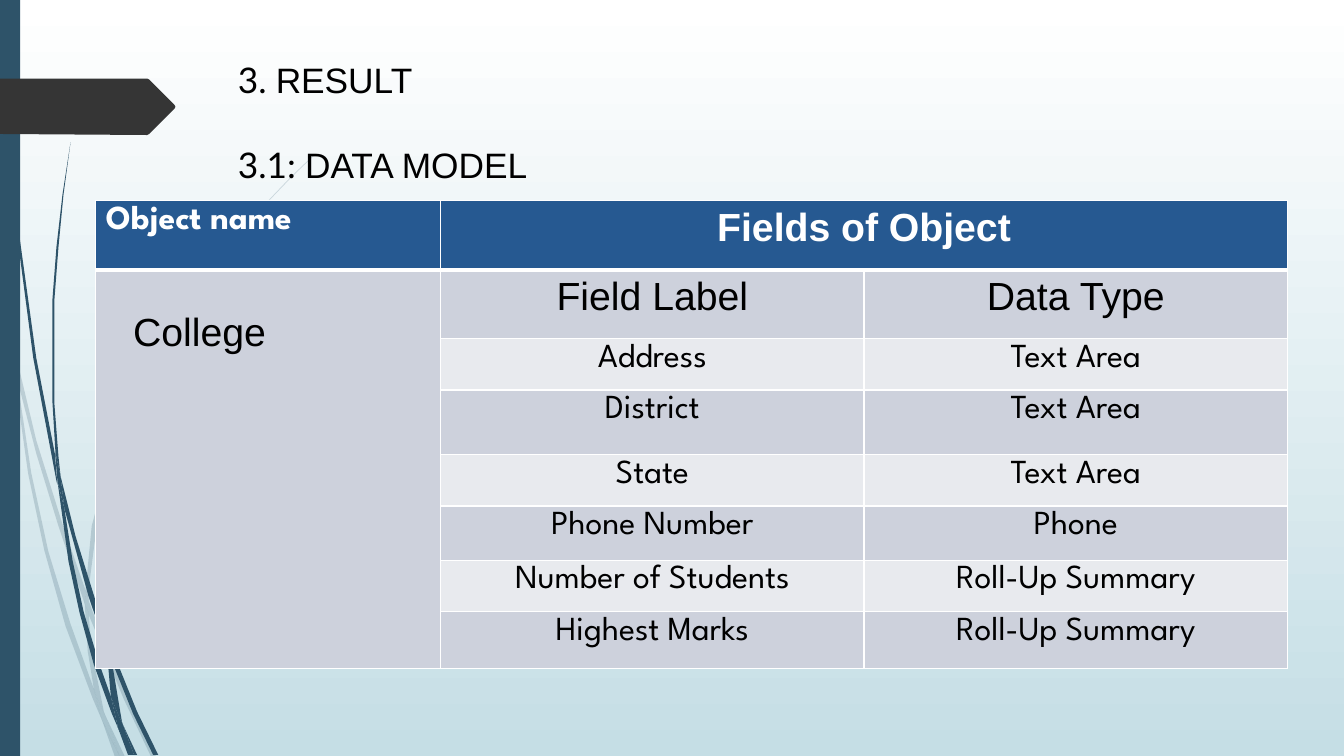
from dataclasses import dataclass

from lxml.etree import SubElement
from pptx import Presentation
from pptx.dml.color import RGBColor
from pptx.enum.shapes import MSO_SHAPE as Preset
from pptx.enum.text import MSO_ANCHOR as Anchor, MSO_AUTO_SIZE as AutoSize, PP_ALIGN as Align
from pptx.oxml import parse_xml
from pptx.oxml.ns import nsdecls, qn
from pptx.util import Emu, Inches, Pt

UNIT = Inches(0.01)  # one grid step; the slide is 1333 columns by 750 rows
COLORS = {
    "white": "FFFFFF", "black": "000000", "sky": "C5DEE5", "blue": "2E5369",
    "charcoal": "353535", "header": "265991", "dark band": "CDD1DC", "light band": "E8EAEE",
}
HEADING, BODY, NUMBER = "Arial", "League Spartan", "Lato"

# Outlines of the grass blades, in grid columns and rows
PALE_BLADES = [
    [(11, 350), (9, 322), (0, 282), (0, 299), (10, 344)],
    [(58, 522), (84, 599), (85, 586), (62, 520), (36, 437), (14, 345), (17, 376), (36, 450)],
    [(92, 607), (88, 596), (88, 610), (123, 694), (150, 751), (155, 751), (127, 692)],
    [(119, 751), (124, 751), (105, 711)],
    [(93, 683), (70, 619), (48, 547), (31, 469), (17, 376), (11, 350), (28, 470), (44, 546),
     (65, 621), (92, 693), (101, 714), (99, 707)],
    [(84, 599), (87, 646), (93, 683), (96, 692), (105, 711), (103, 706), (91, 646), (88, 610),
     (88, 608)],
    [(88, 584), (96, 522), (110, 462), (132, 405), (160, 349), (193, 295), (229, 245), (268, 198),
     (290, 175), (312, 154), (312, 153), (289, 175), (268, 197), (228, 244), (191, 294),
     (158, 348), (129, 404), (107, 461), (91, 522), (85, 584), (85, 586), (88, 596)],
    [(101, 714), (114, 751), (119, 751)],
    [(88, 608), (88, 610), (88, 596), (85, 586), (84, 599)],
    [(96, 692), (93, 683), (99, 707), (101, 714), (119, 751), (105, 711)],
]
DARK_BLADES = [
    [(7, 110), (17, 233), (33, 355), (56, 477), (57, 481), (55, 457), (55, 453), (36, 355),
     (19, 232), (8, 109), (5, 48), (4, 0), (3, 0), (4, 48)],
    [(88, 592), (106, 645), (106, 633), (106, 631), (93, 590), (75, 532), (60, 472), (64, 505)],
    [(113, 649), (110, 641), (111, 656), (132, 708), (152, 749), (157, 749), (136, 706)],
    [(110, 691), (98, 657), (83, 607), (72, 556), (64, 505), (57, 477), (68, 557), (79, 608),
     (93, 659), (111, 708), (117, 722), (116, 717)],
    [(60, 472), (58, 453), (54, 401), (54, 349), (54, 297), (58, 245), (63, 193), (70, 141),
     (62, 193), (56, 245), (52, 297), (52, 349), (52, 399), (55, 449)],
    [(133, 749), (136, 749), (122, 719)],
    [(57, 477), (64, 505), (60, 472), (55, 449), (55, 453)],
    [(111, 633), (115, 592), (125, 552), (140, 513), (158, 476), (180, 440), (205, 406), (231, 374),
     (245, 359), (261, 344), (260, 344), (245, 358), (231, 373), (204, 405), (178, 439),
     (156, 474), (137, 512), (122, 551), (111, 591), (106, 631), (110, 641)],
    [(117, 722), (127, 749), (131, 749)],
    [(106, 645), (110, 691), (116, 706), (122, 719), (121, 716), (111, 656), (109, 651)],
    [(106, 645), (109, 651), (111, 656), (110, 641), (106, 631), (106, 633)],
    [(116, 706), (110, 691), (116, 717), (117, 722), (130, 749), (133, 749), (122, 719)],
]
ARROW = [(0, 0), (146, 0), (148, 1), (173, 26), (174, 28), (173, 30), (148, 55), (146, 56), (0, 55)]

TITLE_LINES = [("3. ", "RESULT"), ("3.1: ", "DATA MODEL")]
TABLE_COLUMNS = [342, 420, 420]
TABLE_ROWS = [69, 68, 51, 64, 51, 54, 51, 56]
FIELDS = [
    ("Field Label", "Data Type"),
    ("Address", "Text Area"),
    ("District", "Text Area"),
    ("State", "Text Area"),
    ("Phone Number", "Phone"),
    ("Number of Students", "Roll-Up Summary"),
    ("Highest Marks", "Roll-Up Summary"),
]


@dataclass
class Box:
    """A region in grid columns and rows."""
    left: int
    top: int
    width: int
    height: int

    def lengths(self):
        return [Emu(UNIT * steps) for steps in (self.left, self.top, self.width, self.height)]


def color(name):
    return RGBColor.from_string(COLORS[name])


def add_run(paragraph, text, size, font=BODY, ink="black", bold=False, align=Align.LEFT):
    paragraph.alignment = align
    run = paragraph.add_run()
    run.text = text
    run.font.size, run.font.name, run.font.bold = Pt(size), font, bold
    run.font.color.rgb = color(ink)


def paint(shape, fill, opacity=100):
    shape.shadow.inherit = False
    shape.line.fill.background()
    shape.fill.solid()
    shape.fill.fore_color.rgb = color(fill)
    if opacity < 100:
        tint = shape.element.spPr.find(".//" + qn("a:srgbClr"))
        SubElement(tint, qn("a:alpha"), val=str(opacity * 1000))


def add_outline(slide, box, points, fill, opacity=100):
    builder = slide.shapes.build_freeform(*points[0], scale=UNIT)
    builder.add_line_segments(points[1:], close=True)
    left, top, _, _ = box.lengths()
    paint(builder.convert_to_shape(left, top), fill, opacity)


def add_background(slide):
    fill = slide.background.fill
    fill.gradient()
    fill.gradient_angle = 270
    for stop, position, name in zip(fill.gradient_stops, (0, 1), ("white", "sky")):
        stop.position = position
        stop.color.rgb = color(name)


def add_decoration(slide, box):
    for blades, opacity in ((PALE_BLADES, 20), (DARK_BLADES, 100)):
        for blade in blades:
            add_outline(slide, box, blade, "blue", opacity)
    side_bar = Box(box.left, box.top, 20, box.height)
    paint(slide.shapes.add_shape(Preset.RECTANGLE, *side_bar.lengths()), "blue")
    add_outline(slide, Box(box.left, box.top + 78, 174, 56), ARROW, "charcoal")


def add_title(slide, box):
    title = slide.shapes.title
    title.left, title.top, title.width, title.height = box.lengths()
    title.element.getparent().append(title.element)  # in front of the decoration
    frame = title.text_frame
    frame.auto_size, frame.vertical_anchor = AutoSize.NONE, Anchor.TOP
    for index, (number, words) in enumerate(TITLE_LINES):
        paragraph = frame.add_paragraph() if index else frame.paragraphs[0]
        paragraph.space_before = Pt(30 * index)
        add_run(paragraph, number, 25.2, NUMBER)
        add_run(paragraph, words, 25.2, HEADING)


def format_cell(cell, fill, top=1, bottom=1):
    cell.fill.solid()
    cell.fill.fore_color.rgb = color(fill)
    properties = cell._tc.get_or_add_tcPr()
    for index, (side, width) in enumerate(zip("LRTB", (1, 1, top, bottom))):
        properties.insert(index, parse_xml(
            f'<a:ln{side} {nsdecls("a")} w="{Pt(width)}"><a:solidFill>'
            f'<a:srgbClr val="{COLORS["white"]}"/></a:solidFill></a:ln{side}>'))


def add_data_model(slide, box):
    table = slide.shapes.add_table(len(TABLE_ROWS), len(TABLE_COLUMNS), *box.lengths()).table
    table.first_row = table.horz_banding = False
    for column, steps in zip(table.columns, TABLE_COLUMNS):
        column.width = Emu(UNIT * steps)
    for row_index, (row, steps) in enumerate(zip(table.rows, TABLE_ROWS)):
        row.height = Emu(UNIT * steps)
        band = "dark band" if row_index % 2 else "light band"
        for column_index, cell in enumerate(row.cells):
            fill = band if column_index else "dark band"
            format_cell(cell, fill if row_index else "header",
                        top=3 if row_index == 1 else 1, bottom=1 if row_index else 3)
    table.cell(0, 1).merge(table.cell(0, 2))
    table.cell(1, 0).merge(table.cell(len(FIELDS), 0))

    def write(row, column, text, size, **text_format):
        add_run(table.cell(row, column).text_frame.paragraphs[0], text, size, **text_format)

    write(0, 0, "Object name", 24, ink="white", bold=True)
    write(0, 1, "Fields of Object", 28, font=HEADING, ink="white", bold=True, align=Align.CENTER)
    write(1, 0, "College", 28, font=HEADING)
    college = table.cell(1, 0)
    college.margin_left, college.margin_top = Emu(UNIT * 37), Emu(UNIT * 41)
    for row, labels in enumerate(FIELDS, start=1):
        size, font = (28, HEADING) if row == 1 else (24, BODY)
        for column, label in enumerate(labels, start=1):
            write(row, column, label, size, font=font, align=Align.CENTER)


def main():
    presentation = Presentation()
    page = Box(0, 0, 1333, 750)
    _, _, presentation.slide_width, presentation.slide_height = page.lengths()
    slide = presentation.slides.add_slide(presentation.slide_layouts[5])
    add_background(slide)
    add_decoration(slide, page)
    add_title(slide, Box(226, 53, 975, 146))
    add_data_model(slide, Box(95, 199, sum(TABLE_COLUMNS), sum(TABLE_ROWS)))
    presentation.save("out.pptx")


if __name__ == "__main__":
    main()
